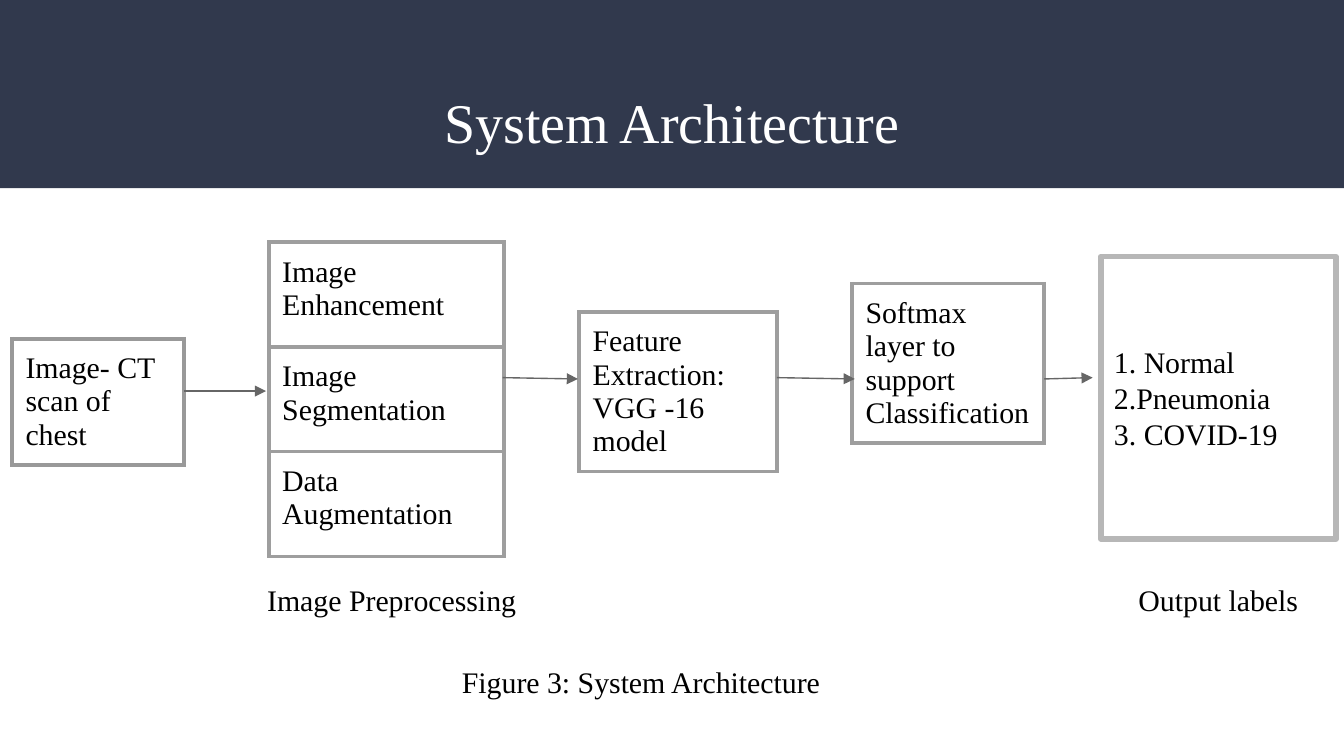
from dataclasses import dataclass

from lxml import etree
from pptx import Presentation
from pptx.dml.color import RGBColor
from pptx.enum.shapes import MSO_CONNECTOR, MSO_SHAPE
from pptx.enum.text import MSO_ANCHOR, PP_ALIGN
from pptx.oxml.ns import qn
from pptx.util import Inches, Pt

NAVY = RGBColor(0x31, 0x39, 0x4D)
WHITE = RGBColor(0xFF, 0xFF, 0xFF)
BLACK = RGBColor(0x00, 0x00, 0x00)
ARROW_GRAY = RGBColor(0x66, 0x66, 0x66)
INPUT_GRAY = RGBColor(0x99, 0x99, 0x99)
STAGE_GRAY = RGBColor(0x9E, 0x9E, 0x9E)
OUTPUT_GRAY = RGBColor(0xB7, 0xB7, 0xB7)

LEFT, CENTER = PP_ALIGN.LEFT, PP_ALIGN.CENTER
MIDDLE = MSO_ANCHOR.MIDDLE
RECTANGLE = MSO_SHAPE.RECTANGLE
STRAIGHT = MSO_CONNECTOR.STRAIGHT

FONT = "Times New Roman"
MARGIN = Inches(0.1)
BORDER_WIDTH = Pt(2.25)


@dataclass
class Stage:
    left: float
    top: float
    width: float
    row_height: float
    rows: list[str]
    border: RGBColor = STAGE_GRAY


@dataclass
class Label:
    text: str
    left: float
    top: float
    width: float
    height: float = 0.45
    align: int = CENTER
    size: int = 16
    color: RGBColor = BLACK


@dataclass
class Arrow:
    start: tuple[float, float]
    end: tuple[float, float]


STAGES = [
    Stage(0.09, 2.52, 1.28, 0.83, ["Image- CT scan of chest"], INPUT_GRAY),
    Stage(2, 1.8, 1.75, 0.78,
          ["Image Enhancement", "Image Segmentation", "Data Augmentation"]),
    Stage(4.31, 2.32, 1.47, 0.98, ["Feature Extraction:\nVGG -16 model"]),
    Stage(6.34, 2.11, 1.43, 0.98, ["Softmax layer to support Classification"]),
]
LABELS = [
    Label("System Architecture", 0.34, 0.55, 9.32, 0.68, size=30, color=WHITE),
    Label("Image Preprocessing", 1.89, 4.23, 2.16, align=LEFT),
    Label("Output labels", 8.26, 4.23, 1.61),
    Label("Figure 3: System Architecture", 2.67, 4.84, 4.2),
]
ARROWS = [
    Arrow((1.37, 2.91), (1.98, 2.91)),
    Arrow((3.74, 2.81), (4.3, 2.82)),
    Arrow((5.78, 2.81), (6.36, 2.82)),
    Arrow((7.77, 2.82), (8.13, 2.81)),
]
OUTPUT_TEXT = "1. Normal\n2.Pneumonia\n3. COVID-19"


def set_text(frame, text: str, size: int = 16, color: RGBColor = BLACK,
             align: int = LEFT) -> None:
    frame.word_wrap = True
    frame.text = text
    font_format = {"name": FONT, "size": Pt(size), "bold": False}
    for paragraph in frame.paragraphs:
        paragraph.alignment = align
        for run in paragraph.runs:
            for name, value in font_format.items():
                setattr(run.font, name, value)
            run.font.color.rgb = color


def set_margins(target) -> None:
    for side in ("left", "top", "right", "bottom"):
        setattr(target, f"margin_{side}", MARGIN)


def set_borders(cell, color: RGBColor) -> None:
    properties = cell._tc.get_or_add_tcPr()
    for index, tag in enumerate(("a:lnL", "a:lnR", "a:lnT", "a:lnB")):
        line = etree.Element(qn(tag), w=str(BORDER_WIDTH))
        fill = etree.SubElement(line, qn("a:solidFill"))
        etree.SubElement(fill, qn("a:srgbClr"), val=str(color))
        properties.insert(index, line)


def add_stage(slide, stage: Stage) -> None:
    count = len(stage.rows)
    table = slide.shapes.add_table(
        count, 1, Inches(stage.left), Inches(stage.top),
        Inches(stage.width), Inches(stage.row_height * count)).table
    table.first_row = False
    table.horz_banding = False
    for index, text in enumerate(stage.rows):
        cell = table.cell(index, 0)
        set_margins(cell)
        cell.fill.background()
        set_text(cell.text_frame, text)
        set_borders(cell, stage.border)


def add_label(slide, label: Label) -> None:
    frame = slide.shapes.add_textbox(
        Inches(label.left), Inches(label.top),
        Inches(label.width), Inches(label.height)).text_frame
    set_margins(frame)
    set_text(frame, label.text, label.size, label.color, label.align)


def add_arrow(slide, arrow: Arrow) -> None:
    points = [Inches(value) for value in (*arrow.start, *arrow.end)]
    connector = slide.shapes.add_connector(STRAIGHT, *points)
    connector.line.color.rgb = ARROW_GRAY
    connector.line.width = Pt(0.75)
    etree.SubElement(connector.line._get_or_add_ln(), qn("a:tailEnd"), type="triangle")
    etree.SubElement(connector._element.spPr, qn("a:effectLst"))


def add_rectangle(slide, left: float, top: float, width: float, height: float):
    shape = slide.shapes.add_shape(
        RECTANGLE, Inches(left), Inches(top), Inches(width), Inches(height))
    shape.shadow.inherit = False
    return shape


def main() -> None:
    presentation = Presentation()
    presentation.slide_width = Inches(10)
    presentation.slide_height = Inches(10) * 9 // 16
    slide = presentation.slides.add_slide(presentation.slide_layouts[6])

    # Title band
    band = add_rectangle(slide, 0, 0, 10, 1.4)
    band.fill.solid()
    band.fill.fore_color.rgb = NAVY
    band.line.fill.background()

    # Processing stages
    for stage in STAGES:
        add_stage(slide, stage)

    # Output classes
    output = add_rectangle(slide, 8.19, 1.91, 1.75, 2.1)
    output.fill.background()
    output.line.color.rgb = OUTPUT_GRAY
    output.line.width = Pt(3)
    etree.SubElement(output.line._get_or_add_ln(), qn("a:round"))
    set_margins(output.text_frame)
    output.text_frame.vertical_anchor = MIDDLE
    set_text(output.text_frame, OUTPUT_TEXT)

    # Flow arrows, title and captions
    for arrow in ARROWS:
        add_arrow(slide, arrow)
    for label in LABELS:
        add_label(slide, label)

    presentation.save("out.pptx")


if __name__ == "__main__":
    main()
